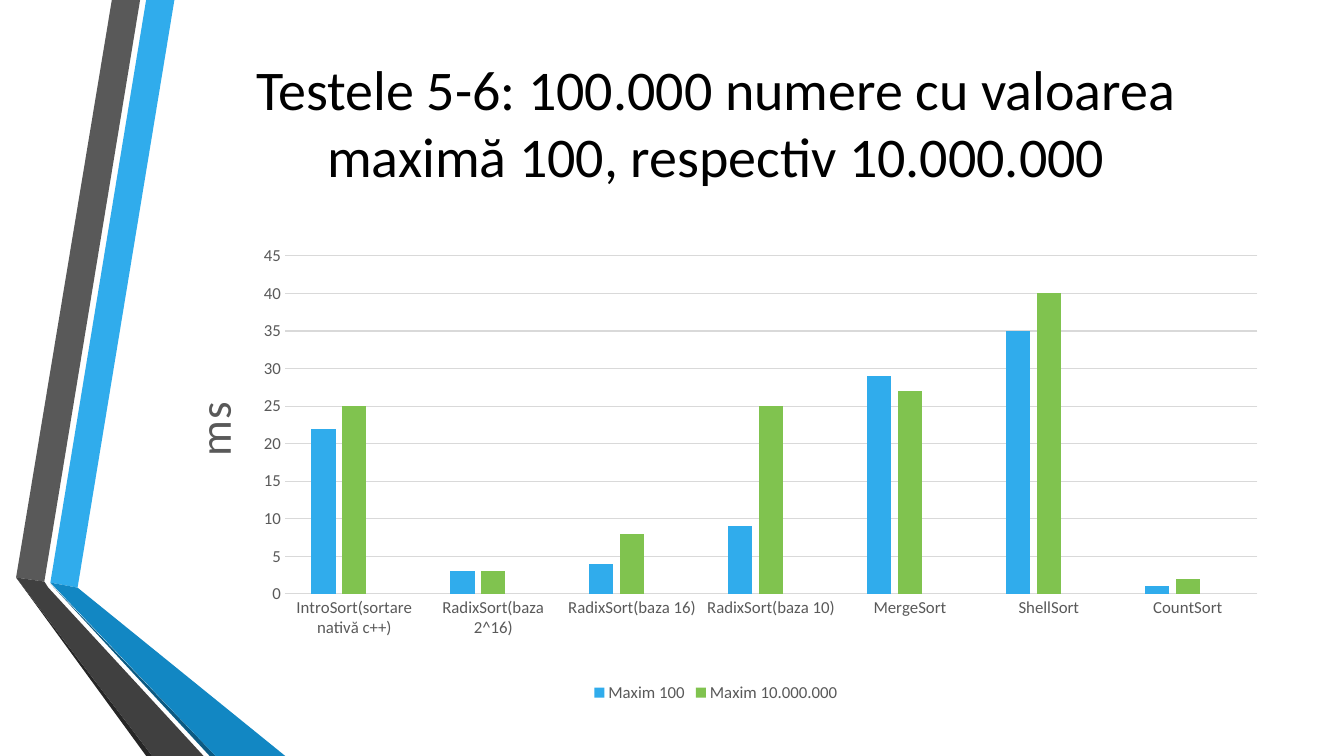
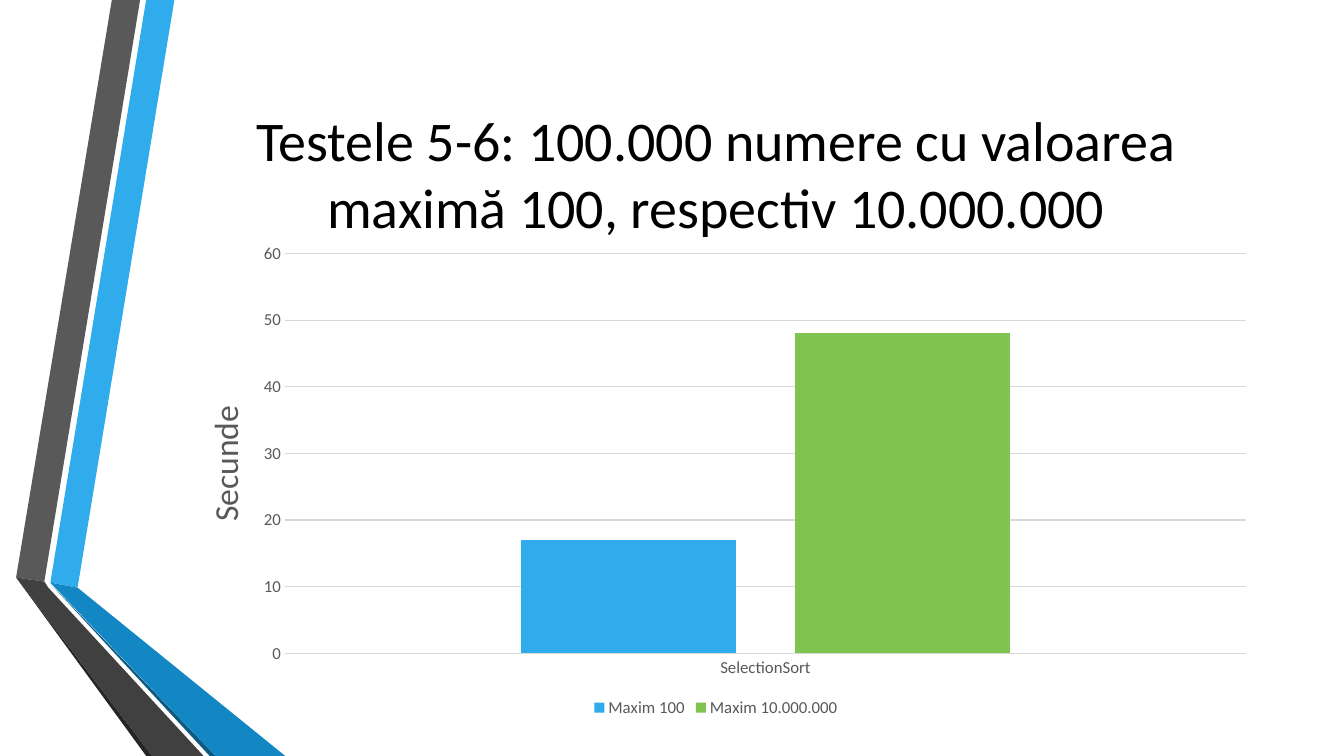
from dataclasses import dataclass

from lxml.etree import SubElement
from pptx import Presentation
from pptx.chart.chart import Chart
from pptx.chart.data import CategoryChartData
from pptx.dml.color import RGBColor
from pptx.enum.chart import XL_CHART_TYPE, XL_LEGEND_POSITION, XL_TICK_MARK
from pptx.enum.text import MSO_ANCHOR, PP_ALIGN
from pptx.oxml import parse_xml
from pptx.oxml.ns import nsdecls, qn
from pptx.slide import Slide
from pptx.util import Inches, Pt

COLORS = {
    "title": "000000",
    "label": "595959",
    "grid": "D9D9D9",
    "blue": "30ACEC",
    "blue_fold": "1287C3",
    "blue_edge": "0C5A82",
    "gray": "595959",
    "gray_fold": "404040",
    "gray_edge": "262626",
    "green": "80C34F",
    "orange": "E29D3E",
}
FONT = "Calibri"
TITLE = "Testele 5-6: 100.000 numere cu valoarea maximă 100, respectiv 10.000.000"
SERIES_COLORS = ("blue", "green", "orange")
LEFT, WIDTH = 1.62, 10.96  # shared by titles and charts


@dataclass(frozen=True)
class Ribbon:
    color: str
    points: tuple[tuple[float, float], ...]


@dataclass(frozen=True)
class TestSlide:
    title_top: float
    title_height: float
    chart_top: float
    chart_height: float
    unit: str
    unit_size: int
    unit_place: dict[str, float]
    plot_place: dict[str, float]
    scale: dict[str, float]
    algorithms: tuple[str, ...]
    series: dict[str, tuple[float | None, ...]]
    hidden_legend: tuple[int, ...] = ()


RIBBONS = (
    Ribbon("blue", ((0.5, 5.78), (0.77, 5.83), (1.73, 0), (1.45, 0))),
    Ribbon("gray", ((1.39, 0), (1.11, 0), (0.16, 5.73), (0.44, 5.77))),
    Ribbon("gray_edge", ((0.16, 5.73), (1.45, 7.5), (1.51, 7.5))),
    Ribbon("blue_edge", ((0.5, 5.79), (2.08, 7.5), (2.14, 7.5))),
    Ribbon("blue_fold", ((0.5, 5.78), (2.14, 7.5), (2.83, 7.5), (0.77, 5.83))),
    Ribbon("gray_fold", ((2.02, 7.5), (0.48, 5.83), (0.44, 5.77),
                         (0.16, 5.73), (1.51, 7.5))),
)

TESTS = (
    TestSlide(
        title_top=0.49, title_height=1.44, chart_top=1.93, chart_height=5.08,
        unit="ms", unit_size=32, unit_place={"x": 0.01, "y": 0.39},
        plot_place={"x": 0.11, "y": 0.12, "w": 0.88, "h": 0.66},
        scale={"minimum_scale": 0, "maximum_scale": 45, "major_unit": 5},
        algorithms=("IntroSort(sortare nativă c++)", "RadixSort(baza 2^16)",
                    "RadixSort(baza 16)", "RadixSort(baza 10)",
                    "MergeSort", "ShellSort", "CountSort"),
        series={"Maxim 100": (22, 3, 4, 9, 29, 35, 1),
                "Maxim 10.000.000": (25, 3, 8, 25, 27, 40, 2),
                "Series 3": (None,) * 7},
        hidden_legend=(2,),
    ),
    TestSlide(
        title_top=0.75, title_height=1.92, chart_top=2.32, chart_height=4.84,
        unit="Secunde", unit_size=24, unit_place={"x": 0.03, "y": 0.34},
        plot_place={"x": 0.11, "y": 0.04, "w": 0.87, "h": 0.82},
        scale={"minimum_scale": 0, "maximum_scale": 60, "major_unit": 10},
        algorithms=("SelectionSort",),
        series={"Maxim 100": (17,), "Maxim 10.000.000": (48,)},
    ),
)


def apply(target: object, values: dict[str, object]) -> None:
    for name, value in values.items():
        setattr(target, name, value)


def rgb(color: str) -> RGBColor:
    return RGBColor.from_string(COLORS[color])


def style_font(font: object, size: int, color: str) -> None:
    apply(font, {"name": FONT, "size": Pt(size), "bold": False})
    font.color.rgb = rgb(color)


def style_line(line: object) -> None:
    line.color.rgb = rgb("grid")
    line.width = Pt(0.75)


def place_in_chart(parent: object, index: int, place: dict[str, float],
                   inner: bool = False) -> None:
    """Give a chart part a manual layout, in fractions of the chart."""
    for automatic in parent.findall(qn("c:layout")):
        parent.remove(automatic)
    layout = parse_xml(f"<c:layout {nsdecls('c')}><c:manualLayout/></c:layout>")
    settings = {"layoutTarget": "inner"} if inner else {}
    settings |= {"xMode": "edge", "yMode": "edge"} | place
    for tag, value in settings.items():
        SubElement(layout[0], qn(f"c:{tag}")).set("val", str(value))
    parent.insert(index, layout)


def draw_ribbons(slide: Slide) -> None:
    band = slide.shapes.add_group_shape()
    for ribbon in RIBBONS:
        start, *corners = [(Inches(x), Inches(y)) for x, y in ribbon.points]
        builder = band.shapes.build_freeform(*start)
        builder.add_line_segments(corners, close=True)
        strip = builder.convert_to_shape()
        strip.shadow.inherit = False
        strip.fill.solid()
        strip.fill.fore_color.rgb = rgb(ribbon.color)
        strip.line.fill.background()


def draw_title(slide: Slide, test: TestSlide) -> None:
    heading = slide.shapes.add_textbox(
        Inches(LEFT), Inches(test.title_top),
        Inches(WIDTH), Inches(test.title_height)).text_frame
    apply(heading, {"text": TITLE, "word_wrap": True,
                    "vertical_anchor": MSO_ANCHOR.MIDDLE})
    line = heading.paragraphs[0]
    line.alignment = PP_ALIGN.CENTER
    style_font(line.runs[0].font, 40, "title")


def style_axes(chart: Chart, test: TestSlide) -> None:
    algorithms, times = chart.category_axis, chart.value_axis
    for axis in (algorithms, times):
        apply(axis, {"major_tick_mark": XL_TICK_MARK.NONE,
                     "minor_tick_mark": XL_TICK_MARK.NONE})
        style_font(axis.tick_labels.font, 12, "label")
    style_line(algorithms.format.line)
    times.format.line.fill.background()
    style_line(times.major_gridlines.format.line)
    apply(times, test.scale)

    # Unit beside the value axis
    unit = times.axis_title
    unit.text_frame.text = test.unit
    style_font(unit.text_frame.paragraphs[0].runs[0].font, test.unit_size, "label")
    place_in_chart(unit.element, 1, test.unit_place)


def style_legend(chart: Chart, hidden: tuple[int, ...]) -> None:
    chart.has_legend = True
    apply(chart.legend, {"position": XL_LEGEND_POSITION.BOTTOM,
                         "include_in_layout": False})
    style_font(chart.legend.font, 12, "label")
    position = chart.element.find(f".//{qn('c:legendPos')}")
    for index in hidden:
        position.addnext(parse_xml(
            f'<c:legendEntry {nsdecls("c")}><c:idx val="{index}"/>'
            '<c:delete val="1"/></c:legendEntry>'))


def draw_chart(slide: Slide, test: TestSlide) -> None:
    timings = CategoryChartData()
    timings.categories = test.algorithms
    for name, values in test.series.items():
        timings.add_series(name, values)
    chart = slide.shapes.add_chart(
        XL_CHART_TYPE.COLUMN_CLUSTERED, Inches(LEFT), Inches(test.chart_top),
        Inches(WIDTH), Inches(test.chart_height), timings).chart
    chart.has_title = False
    style_font(chart.font, 10, "title")

    # Columns
    columns = chart.plots[0]
    apply(columns, {"gap_width": 219, "overlap": -27, "vary_by_categories": False})
    for series, color in zip(columns.series, SERIES_COLORS):
        series.format.fill.solid()
        series.format.fill.fore_color.rgb = rgb(color)

    style_axes(chart, test)
    style_legend(chart, test.hidden_legend)
    plot_area = chart.element.find(f".//{qn('c:plotArea')}")
    place_in_chart(plot_area, 0, test.plot_place, inner=True)


def main() -> None:
    deck = Presentation()
    apply(deck, {"slide_width": Inches(13.33), "slide_height": Inches(7.5)})
    for test in TESTS:
        slide = deck.slides.add_slide(deck.slide_layouts[6])
        draw_ribbons(slide)
        draw_title(slide, test)
        draw_chart(slide, test)
    deck.save("out.pptx")


if __name__ == "__main__":
    main()
